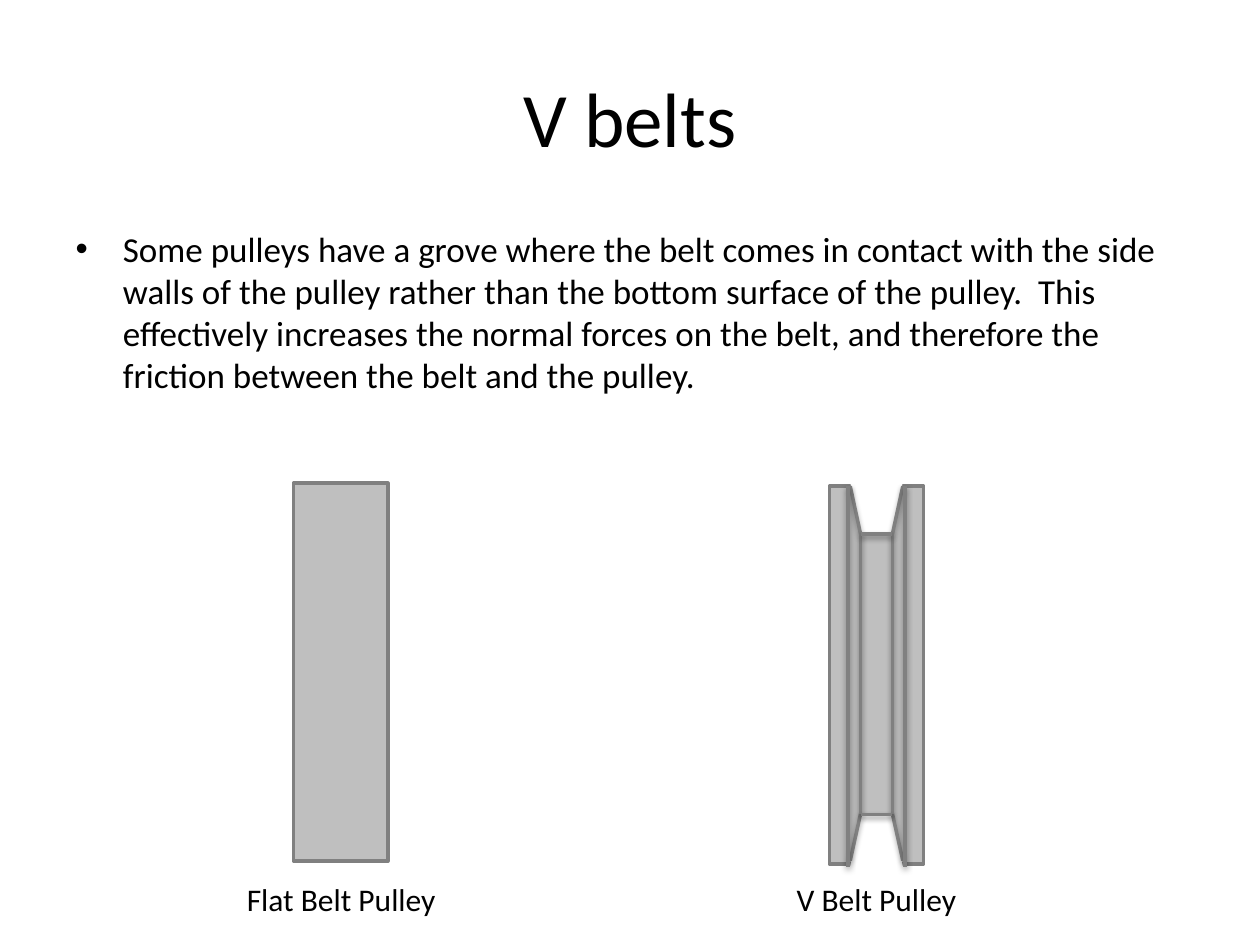
from lxml.etree import SubElement
from pptx import Presentation
from pptx.dml.color import RGBColor
from pptx.enum.shapes import MSO_CONNECTOR as LINK, MSO_SHAPE as FORM
from pptx.enum.text import MSO_ANCHOR as ANCHOR, MSO_AUTO_SIZE as FIT, PP_ALIGN as ALIGN
from pptx.oxml.ns import qn
from pptx.util import Cm, Pt

HUES = {"text": "000000", "metal": "BFBFBF", "edge": "808080", "paper": "FFFFFF"}
FONT = "Calibri"
BODY = (
    "Some pulleys have a grove where the belt comes in contact with the side walls "
    "of the pulley rather than the bottom surface of the pulley.  This effectively "
    "increases the normal forces on the belt, and therefore the friction between "
    "the belt and the pulley."
)


def hue(name):
    return RGBColor.from_string(HUES[name])


def place(item, box):
    item.left, item.top, item.width, item.height = [Cm(v) for v in box]


def write(frame, text, size, align):
    frame.text = text
    frame.word_wrap = True
    para = frame.paragraphs[0]
    para.alignment = align
    para.space_before = Pt(0)
    para.font.name = FONT
    para.font.size = Pt(size)
    para.font.color.rgb = hue("text")


def solid(slide, form, box, fill, edge=None):
    item = slide.shapes.add_shape(form, *[Cm(v) for v in box])
    item.shadow.inherit = False
    item.fill.solid()
    item.fill.fore_color.rgb = hue(fill)
    if edge:
        item.line.color.rgb = hue(edge)
        item.line.width = Pt(2)
    else:
        item.line.fill.background()
    return item


def stroke(slide, x1, y1, x2, y2):
    line = slide.shapes.add_connector(LINK.STRAIGHT, Cm(x1), Cm(y1), Cm(x2), Cm(y2))
    line.line.color.rgb = hue("edge")
    line.line.width = Pt(2)
    effect = SubElement(line._element.spPr, qn("a:effectLst"))
    shade = SubElement(effect, qn("a:outerShdw"), blurRad="40000", dist="20000",
                       dir="5400000", rotWithShape="0")
    color = SubElement(shade, qn("a:srgbClr"), val=HUES["text"])
    SubElement(color, qn("a:alpha"), val="38000")


def head(slide, box):
    title = slide.shapes.title
    place(title, box)
    write(title.text_frame, "V belts", 44, ALIGN.CENTER)
    title.text_frame.vertical_anchor = ANCHOR.MIDDLE


def body(slide, box):
    item = slide.placeholders[1]
    place(item, box)
    write(item.text_frame, BODY, 20, ALIGN.LEFT)


def label(slide, text, box):
    frame = slide.shapes.add_textbox(*[Cm(v) for v in box]).text_frame
    write(frame, text, 18, ALIGN.CENTER)
    frame.auto_size = FIT.SHAPE_TO_FIT_TEXT


def flat(slide, box):
    solid(slide, FORM.RECTANGLE, box, "metal", "edge")


def vee(slide, box):
    x, y, wide, high = box
    mid = x + wide / 2
    notch, floor, rim = 0.53, 0.32, 0.57
    top, base = y + 0.97, y + high - 1.02
    flat(slide, box)
    for level, turn in ((base, False), (y - 0.08, True)):
        cut = solid(slide, FORM.TRAPEZOID,
                    (mid - notch, level, 2 * notch, 2 * notch), "paper")
        cut.adjustments[0] = 0.2
        if turn:
            cut._element.spPr.xfrm.set("flipV", "1")
    for side in (-1, 1):
        near, far, lip = [mid + side * gap for gap in (floor, notch, rim)]
        stroke(slide, far, y, near, top)
        stroke(slide, near, base, far, y + high - 0.07)
        stroke(slide, near, top, near, base)
        stroke(slide, lip, y, lip, y + high + 0.05)
    for level in (top, base + 0.02):
        stroke(slide, mid + floor, level, mid - floor, level)


def main():
    deck = Presentation()
    deck.slide_width, deck.slide_height = Cm(25.4), Cm(19.05)
    slide = deck.slides.add_slide(deck.slide_layouts[1])
    head(slide, (1.27, 0.76, 22.86, 3.18))
    body(slide, (1.27, 4.45, 22.86, 4.01))
    flat(slide, (5.92, 9.74, 1.9, 7.62))
    vee(slide, (16.72, 9.8, 1.9, 7.62))
    label(slide, "Flat Belt Pulley", (3.28, 17.62, 7.2, 1.06))
    label(slide, "V Belt Pulley", (14.07, 17.62, 7.2, 1.06))
    deck.save("out.pptx")


if __name__ == "__main__":
    main()
